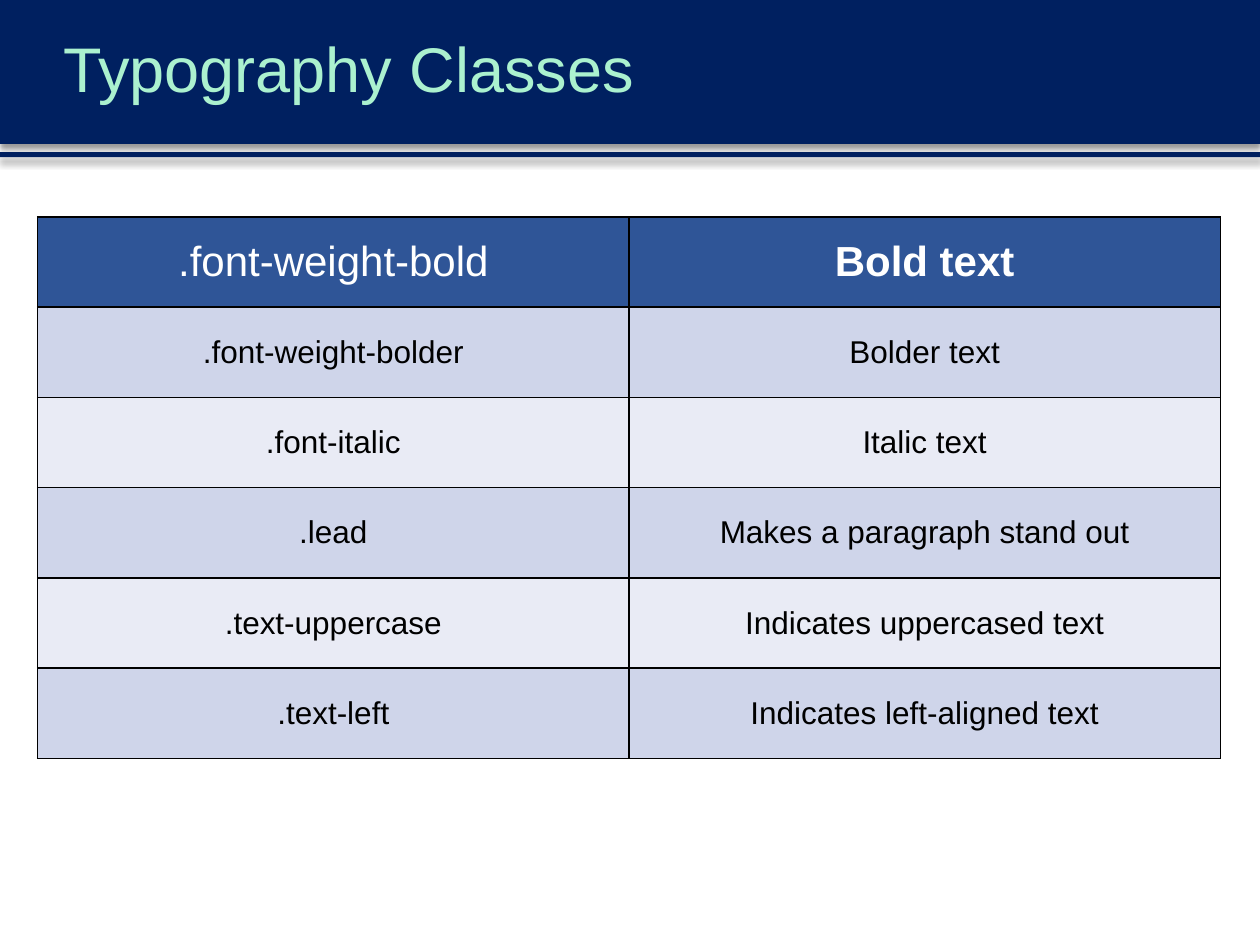
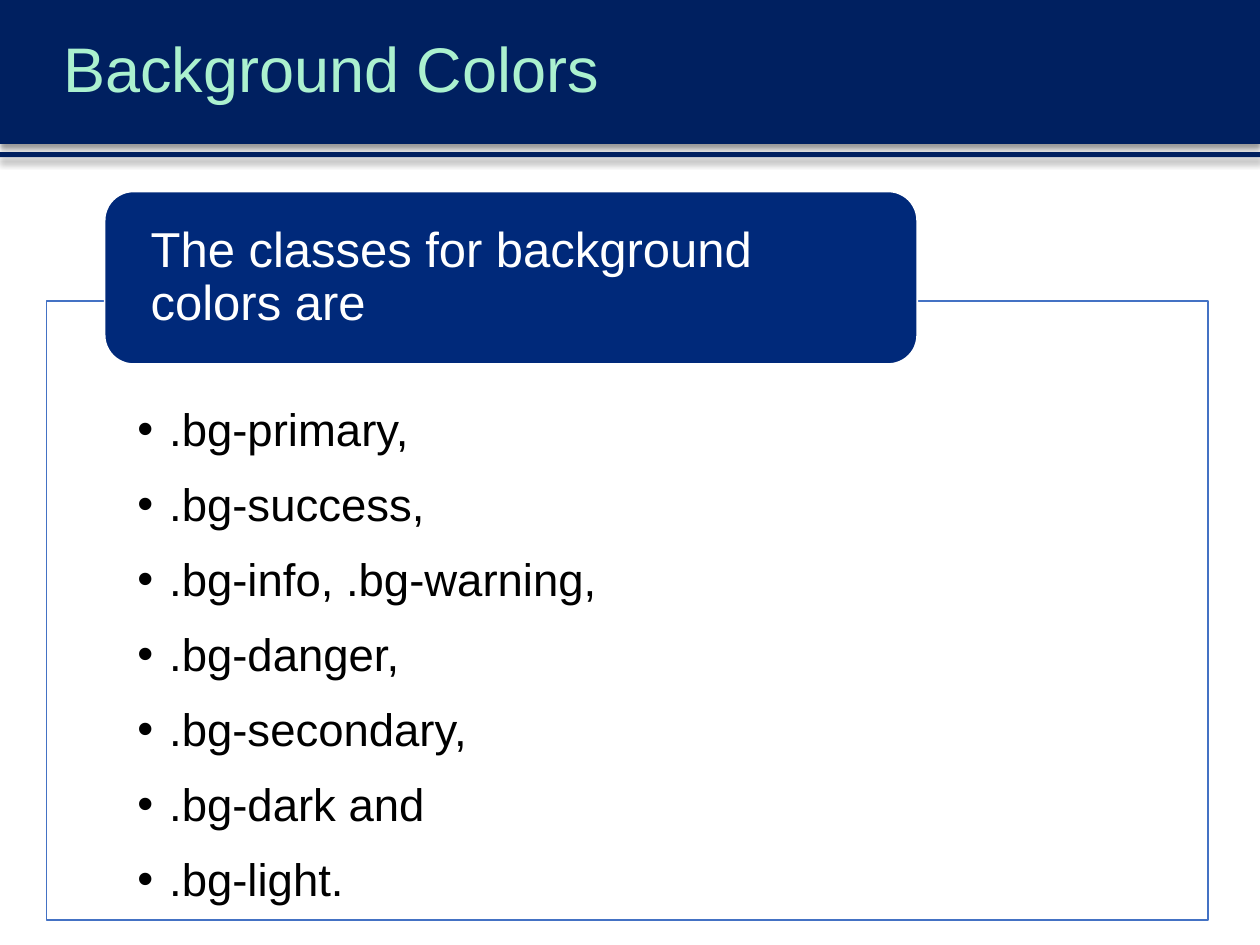
from dataclasses import dataclass

from lxml import etree
from pptx import Presentation
from pptx.dml.color import RGBColor
from pptx.enum import shapes as es, text as et
from pptx.oxml import ns
from pptx.util import Cm, Pt

# Content
TYPE_TITLE = "Typography Classes"
TYPE_ROWS = [
    (".font-weight-bold", "Bold text"),
    (".font-weight-bolder", "Bolder text"),
    (".font-italic", "Italic text"),
    (".lead", "Makes a paragraph stand out"),
    (".text-uppercase", "Indicates uppercased text"),
    (".text-left", "Indicates left-aligned text"),
]
BACK_TITLE = "Background Colors"
BACK_LABEL = "The classes for background colors are"
BACK_LIST = [
    ".bg-primary,",
    ".bg-success,",
    ".bg-info, .bg-warning,",
    ".bg-danger,",
    ".bg-secondary,",
    ".bg-dark and",
    ".bg-light.",
]


@dataclass(frozen=True)
class Theme:
    face: str = "Arial"
    band: str = "002060"
    title: str = "ABF1CF"
    head: str = "2F5597"
    rows: tuple = ("CFD5EA", "E9EBF5")
    label: str = "00297A"
    frame: str = "4472C4"
    white: str = "FFFFFF"
    black: str = "000000"
    title_pt: int = 36
    label_pt: int = 28
    list_pt: int = 26
    head_pt: int = 24
    cell_pt: int = 18


T = Theme()
WIDE, HIGH = 25.4, 19.05
BAND_H = 2.9
BANDS = [(0, BAND_H), (3.07, 0.1)]  # top, height


# Helpers
def color(code):
    return RGBColor.from_string(code)


def place(shape, left, top, width, height):
    shape.left, shape.top = Cm(left), Cm(top)
    shape.width, shape.height = Cm(width), Cm(height)


def paint(shape, fill, line=None):
    shape.fill.solid()
    shape.fill.fore_color.rgb = color(fill)
    if line:
        shape.line.color.rgb = color(line)
        shape.line.width = Pt(1)
    else:
        shape.line.fill.background()


def inset(frame, left, top, right, bottom):
    frame.margin_left, frame.margin_top = Cm(left), Cm(top)
    frame.margin_right, frame.margin_bottom = Cm(right), Cm(bottom)


def style(frame, size, ink, align=et.PP_ALIGN.LEFT, bold=False, lines=1.0, after=0):
    for para in frame.paragraphs:
        para.alignment = align
        para.line_spacing = lines
        para.space_before, para.space_after = Pt(0), Pt(after)
        for run in para.runs:
            font = run.font
            font.name, font.size, font.bold = T.face, Pt(size), bold
            font.color.rgb = color(ink)


def sub(parent, tag, **attrs):
    return etree.SubElement(parent, ns.qn(tag), attrs)


def shade(shape):
    effects = sub(shape.element.spPr, "a:effectLst")
    outer = sub(effects, "a:outerShdw", blurRad=str(Pt(4)), dist=str(Pt(3)),
                dir="5400000", algn="t", rotWithShape="0")
    sub(sub(outer, "a:srgbClr", val=T.black), "a:alpha", val="40000")


def edge(cell):
    props = cell._tc.get_or_add_tcPr()
    for n, side in enumerate(("a:lnL", "a:lnR", "a:lnT", "a:lnB")):
        line = etree.Element(ns.qn(side), w=str(Pt(1)))
        sub(sub(line, "a:solidFill"), "a:srgbClr", val=T.black)
        props.insert(n, line)


# Shared bands, moved from a slide to the master
def add_bands(deck, slide):
    tree = deck.slide_master.shapes.element
    for n, (top, height) in enumerate(BANDS):
        band = slide.shapes.add_shape(es.MSO_SHAPE.RECTANGLE, 0, Cm(top), Cm(WIDE), Cm(height))
        band.name = f"Band {n + 1}"
        paint(band, T.band)
        shade(band)
        band.element.nvSpPr.cNvPr.set("id", str(101 + n))
        tree.insert(2 + n, band.element)


def add_slide(deck, layout, title):
    slide = deck.slides.add_slide(deck.slide_layouts[layout])
    head = slide.shapes.title
    place(head, 1.02, 0, WIDE - 1.02, BAND_H)
    frame = head.text_frame
    frame.text = title
    frame.vertical_anchor = et.MSO_ANCHOR.MIDDLE
    style(frame, T.title_pt, T.title, lines=0.9)
    return slide


# Table of classes
def add_table(slide):
    wide, high = 11.92, 1.82
    count = len(TYPE_ROWS)
    table = slide.shapes.add_table(count, 2, Cm(0.76), Cm(4.37),
                                   Cm(2 * wide), Cm(count * high)).table
    for col in table.columns:
        col.width = Cm(wide)
    for r, row in enumerate(TYPE_ROWS):
        table.rows[r].height = Cm(high)
        for c, words in enumerate(row):
            cell = table.cell(r, c)
            cell.text = words
            cell.vertical_anchor = et.MSO_ANCHOR.MIDDLE
            cell.fill.solid()
            cell.fill.fore_color.rgb = color(T.rows[(r - 1) % 2] if r else T.head)
            size, ink = (T.cell_pt, T.black) if r else (T.head_pt, T.white)
            style(cell.text_frame, size, ink, et.PP_ALIGN.CENTER, bold=(r == 0 and c == 1))
            edge(cell)


# Framed list with a label on its top edge
def add_list(slide):
    body = slide.placeholders[1]
    place(body, 0.94, 6.07, 23.42, 12.47)
    paint(body, T.white, T.frame)
    frame = body.text_frame
    frame.text = "\n".join(BACK_LIST)
    frame.auto_size = et.MSO_AUTO_SIZE.NONE
    inset(frame, 1.83, 1.8, 1.83, 0.51)
    for para in frame.paragraphs:
        props = para._p.get_or_add_pPr()
        props.set("marL", str(Cm(0.64)))
        props.set("indent", str(-Cm(0.64)))
        sub(props, "a:buChar", char="•")
    style(frame, T.list_pt, T.black, lines=1.2, after=5.4)


def add_label(slide):
    label = slide.shapes.add_shape(es.MSO_SHAPE.ROUNDED_RECTANGLE,
                                   Cm(2.11), Cm(3.86), Cm(16.38), Cm(3.48))
    label.shadow.inherit = False
    paint(label, T.label, T.white)
    frame = label.text_frame
    frame.text = BACK_LABEL
    frame.word_wrap = True
    frame.vertical_anchor = et.MSO_ANCHOR.MIDDLE
    inset(frame, 0.76, 0, 0.76, 0)
    style(frame, T.label_pt, T.white, lines=0.9)


def main():
    deck = Presentation()
    deck.slide_width, deck.slide_height = Cm(WIDE), Cm(HIGH)

    first = add_slide(deck, 5, TYPE_TITLE)
    add_bands(deck, first)
    add_table(first)

    second = add_slide(deck, 1, BACK_TITLE)
    add_list(second)
    add_label(second)

    deck.save("out.pptx")


if __name__ == "__main__":
    main()
